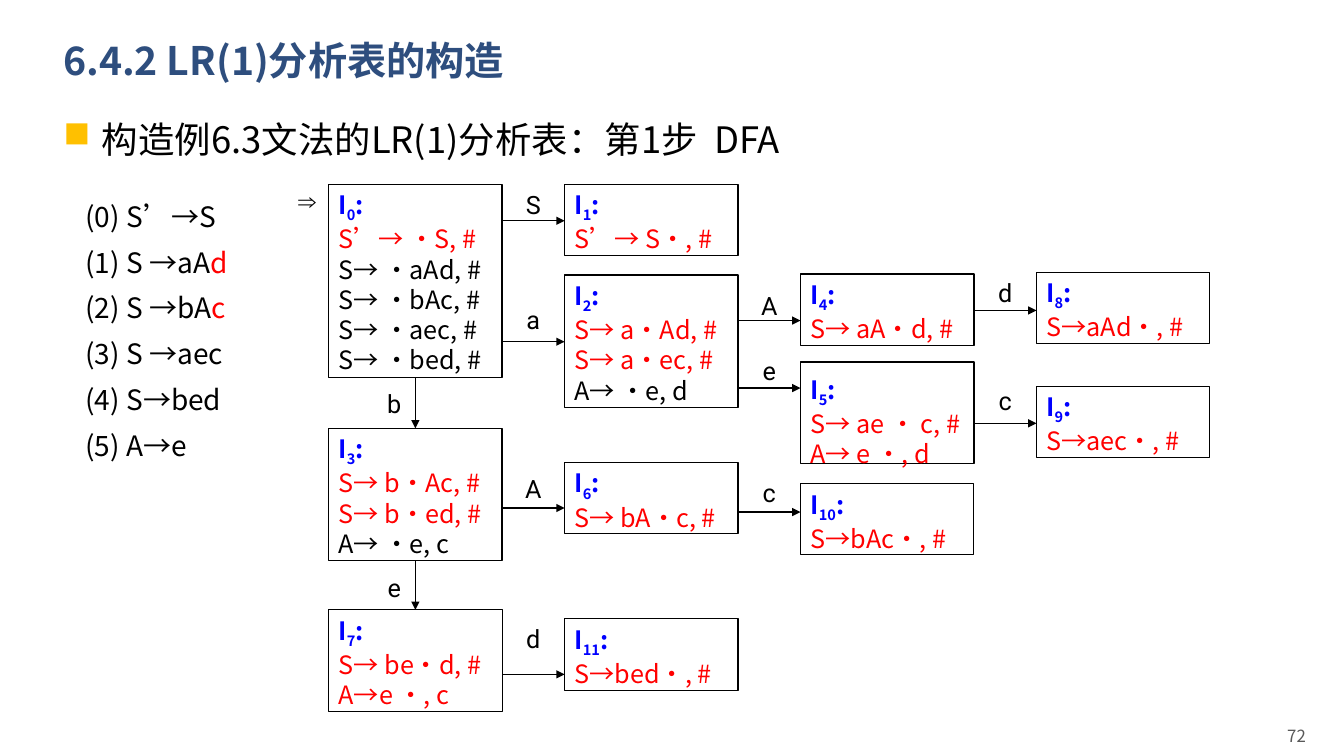
from dataclasses import dataclass

from lxml.etree import SubElement
from pptx import Presentation
from pptx.dml.color import RGBColor
from pptx.enum.shapes import MSO_CONNECTOR, MSO_SHAPE
from pptx.enum.text import MSO_ANCHOR as Anchor, PP_ALIGN as Align
from pptx.oxml.ns import qn
from pptx.util import Inches, Pt


@dataclass(frozen=True)
class Theme:
    text: str = "Noto Sans CJK SC"
    label: str = "Roboto"
    symbol: str = "Times New Roman"
    title: str = "2E4E7E"
    bullet: str = "FFC000"
    black: str = "000000"
    kernel: str = "FF0000"
    state: str = "0000FF"
    number: str = "595959"
    title_size: int = 28
    body_size: int = 26
    grammar_size: int = 20
    state_size: int = 18
    number_size: int = 12


THEME = Theme()

# Diagram grid: a column is a state box plus the gap to the next one
COLUMN, BOX_WIDTH, ROW = 2.34, 1.72, 0.1
LINE_HEIGHT, BOX_PADDING = 0.303, 0.1
LABEL_WIDTH, LABEL_HEIGHT = 0.36, 0.4

# state number: (column, row, line width, text drop in rows, kernel items, other items)
STATES = {
    0: (0, 0, 1, 0, ["S’→ •S, #"],
        ["S→ •aAd, #", "S→ •bAc, #", "S→ •aec, #", "S→ •bed, #"]),
    1: (1, 0, 1, 0, ["S’→ S•, #"], []),
    2: (1, 9, 1, 0, ["S→ a•Ad, #", "S→ a•ec, #"], ["A→ •e, d"]),
    3: (0, 24.2, 1, 0, ["S→ b•Ac, #", "S→ b•ed, #"], ["A→ •e, c"]),
    4: (2, 8.9, 1, 0, ["S→ aA•d, #"], []),
    5: (2, 17.6, 1, 0.7, ["S→ ae • c, #", "A→ e •, d"], []),
    6: (1, 27.6, 0.75, 0, ["S→ bA•c, #"], []),
    7: (0, 42.2, 0.75, 0, ["S→ be•d, #", "A→e •, c"], []),
    8: (3, 8.7, 0.75, 0, ["S→aAd•, #"], []),
    9: (3, 20, 0.75, 0, ["S→aec•, #"], []),
    10: (2, 29.7, 0.75, 0, ["S→bAc•, #"], []),
    11: (1, 43.1, 0.75, 0, ["S→bed•, #"], []),
}
# (symbol, column left of the gap, arrow row, label row)
SHIFTS_RIGHT = [
    ("S", 0, 3.6, 0), ("a", 0, 15.6, 11.4), ("A", 0, 32.1, 28.2), ("d", 0, 48.6, 43),
    ("A", 1, 13.5, 10), ("e", 1, 20.2, 16.5), ("c", 1, 32.5, 28.6),
    ("d", 2, 12.5, 8.7), ("c", 2, 23.7, 19.4),
]
# (symbol, upper state, lower state, label row)
SHIFTS_DOWN = [("b", 0, 3, 19.7), ("e", 3, 7, 38)]

GRAMMAR = [("(0) S’→S", ""), ("(1) S →aA", "d"), ("(2) S →bA", "c"),
           ("(3) S →aec", ""), ("(4) S→bed", ""), ("(5) A→e", "")]


def rgb(color):
    return RGBColor.from_string(color)


def add_run(paragraph, text, size, color=THEME.black, face=THEME.text, bold=False):
    run = paragraph.add_run()
    run.text = text
    font = run.font
    font.size, font.bold, font.name = Pt(size), bold, face
    font.color.rgb = rgb(color)
    SubElement(font._element, qn("a:ea")).set("typeface", face)
    return run


def add_text_frame(slide, box, wrap=True, anchor=Anchor.TOP):
    frame = slide.shapes.add_textbox(*map(Inches, box)).text_frame
    frame.word_wrap, frame.vertical_anchor = wrap, anchor
    return frame


def next_paragraph(frame, index):
    return frame.add_paragraph() if index else frame.paragraphs[0]


def add_title(slide, box):
    title = add_text_frame(slide, box, anchor=Anchor.MIDDLE).paragraphs[0]
    title.line_spacing = 0.9
    add_run(title, "6.4.2 LR(1)分析表的构造", THEME.title_size, THEME.title, bold=True)


def add_topic(slide, box):
    topic = add_text_frame(slide, box).paragraphs[0]
    topic.alignment, topic.line_spacing = Align.JUSTIFY, 1.2
    props = topic._p.get_or_add_pPr()
    props.set("marL", str(Inches(0.38)))
    props.set("indent", str(-Inches(0.38)))
    bullet_color = SubElement(props, qn("a:buClr"))
    SubElement(bullet_color, qn("a:srgbClr")).set("val", THEME.bullet)
    SubElement(props, qn("a:buChar")).set("char", "■")
    add_run(topic, "构造例6.3文法的LR(1)分析表：第1步  DFA", THEME.body_size)


def add_grammar(slide, box):
    frame = add_text_frame(slide, box)
    for index, (production, lookahead) in enumerate(GRAMMAR):
        rule = next_paragraph(frame, index)
        rule.line_spacing = 1.2
        if index:
            rule.space_before = Pt(0.2 * THEME.grammar_size)
        add_run(rule, production, THEME.grammar_size)
        if lookahead:
            add_run(rule, lookahead, THEME.grammar_size, THEME.kernel)


def add_state(slide, box, number, border, drop, kernel, closure):
    state = slide.shapes.add_shape(MSO_SHAPE.RECTANGLE, *map(Inches, box))
    state.shadow.inherit = False
    state.fill.background()
    state.line.color.rgb, state.line.width = rgb(THEME.black), Pt(border)
    frame = state.text_frame
    frame.word_wrap, frame.vertical_anchor = True, Anchor.TOP
    frame.margin_top = Inches(BOX_PADDING / 2 + drop)
    heading = frame.paragraphs[0]
    heading.alignment = Align.LEFT
    for text in ("I", str(number), ":"):
        part = add_run(heading, text, THEME.state_size, THEME.state, bold=True)
        if text.isdigit():
            part.font._element.set("baseline", "-25000")
    items = [(item, THEME.kernel) for item in kernel] + [(item, THEME.black) for item in closure]
    for item, color in items:
        line = frame.add_paragraph()
        line.alignment = Align.LEFT
        add_run(line, item, THEME.state_size, color)


def add_arrow(slide, start, end):
    arrow = slide.shapes.add_connector(MSO_CONNECTOR.STRAIGHT, *map(Inches, (*start, *end)))
    arrow.line.color.rgb, arrow.line.width = rgb(THEME.black), Pt(1)
    SubElement(arrow.line._get_or_add_ln(), qn("a:tailEnd")).set("type", "triangle")
    SubElement(arrow._element.spPr, qn("a:effectLst"))


def add_symbol(slide, center, top, symbol, face=THEME.label, bold=False):
    box = (center - LABEL_WIDTH / 2, top, LABEL_WIDTH, LABEL_HEIGHT)
    label = add_text_frame(slide, box, wrap=False).paragraphs[0]
    label.alignment = Align.CENTER
    add_run(label, symbol, THEME.state_size, face=face, bold=bold)


def add_automaton(slide, left, top):
    spans = {}
    for number, (column, row, border, drop, kernel, closure) in STATES.items():
        height = BOX_PADDING + LINE_HEIGHT * (1 + len(kernel) + len(closure))
        box = (left + column * COLUMN, top + row * ROW, BOX_WIDTH, height)
        spans[number] = (box[1], box[1] + height)
        add_state(slide, box, number, border, drop * ROW, kernel, closure)
    for symbol, column, row, label_row in SHIFTS_RIGHT:
        start = left + column * COLUMN + BOX_WIDTH
        end, y = left + (column + 1) * COLUMN, top + row * ROW
        add_arrow(slide, (start, y), (end, y))
        add_symbol(slide, (start + end) / 2, top + label_row * ROW, symbol)
    x = left + BOX_WIDTH / 2
    for symbol, upper, lower, label_row in SHIFTS_DOWN:
        add_arrow(slide, (x, spans[upper][1]), (x, spans[lower][0]))
        add_symbol(slide, x - 0.21, top + label_row * ROW, symbol)
    add_symbol(slide, left - 0.22, top - 0.04, "⇒", THEME.symbol, bold=True)


def add_page_number(slide, box):
    number = add_text_frame(slide, box, anchor=Anchor.MIDDLE).paragraphs[0]
    number.alignment = Align.RIGHT
    add_run(number, "72", THEME.number_size, THEME.number)


def main():
    deck = Presentation()
    deck.slide_width, deck.slide_height = Inches(13.33), Inches(7.5)
    slide = deck.slides.add_slide(deck.slide_layouts[6])
    add_title(slide, (0.53, 0.28, 11.5, 0.68))
    add_topic(slide, (0.53, 1.03, 11.5, 0.68))
    add_grammar(slide, (0.75, 1.86, 1.92, 2.81))
    add_automaton(slide, 3.26, 1.83)
    add_page_number(slide, (9.16, 7.1, 3.89, 0.4))
    deck.save("out.pptx")


if __name__ == "__main__":
    main()
